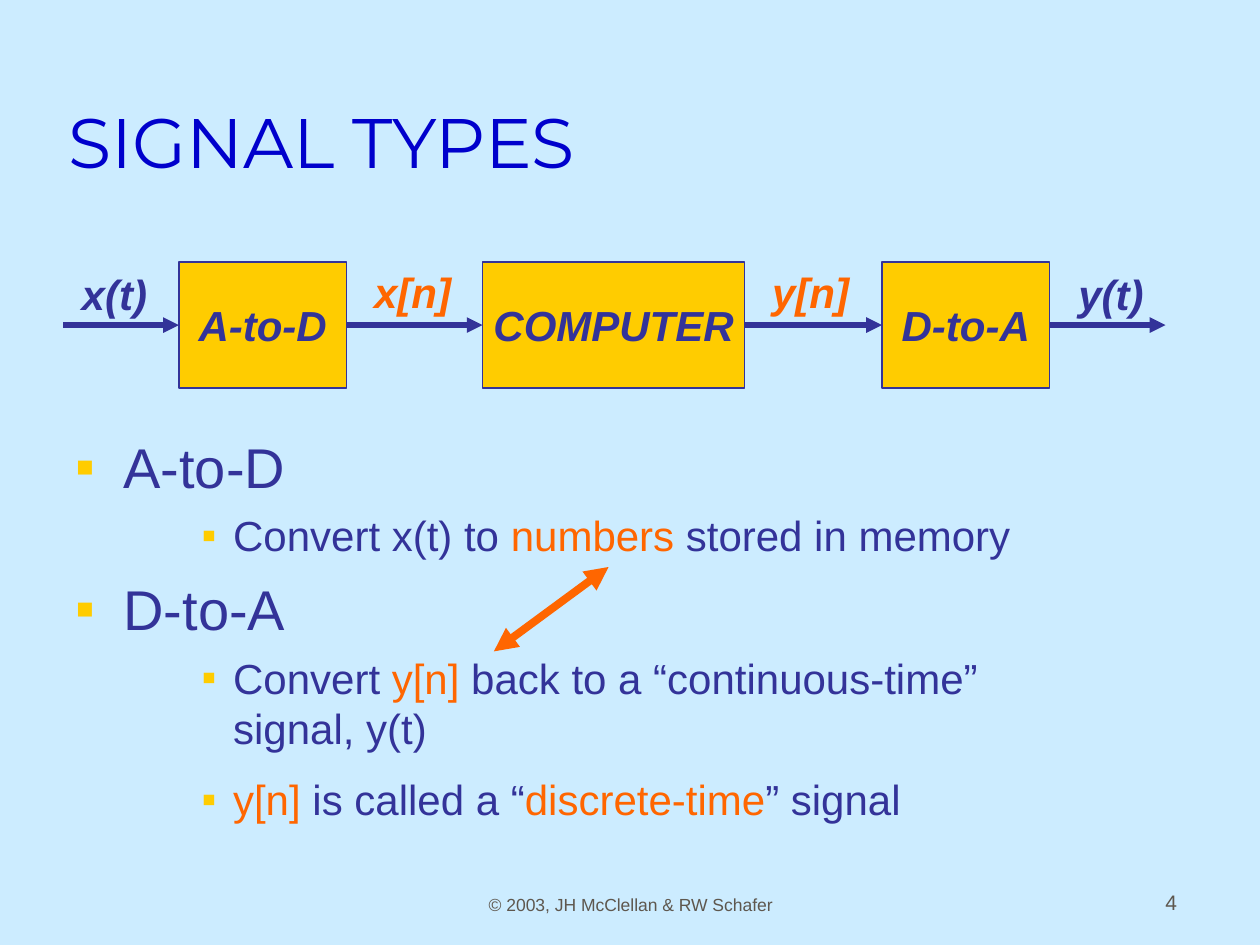
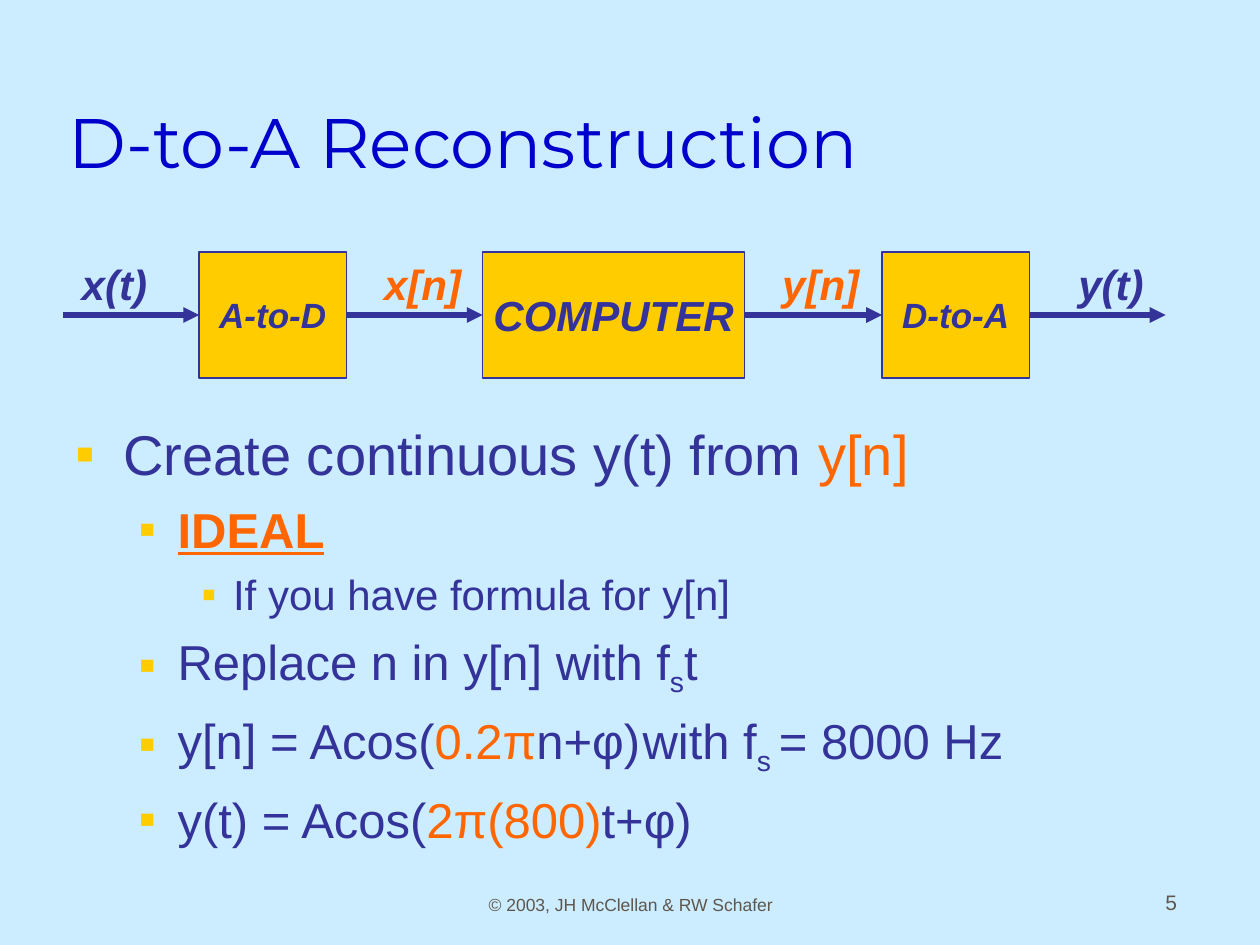
from lxml.etree import SubElement
from pptx import Presentation
from pptx.dml.color import RGBColor
from pptx.enum.shapes import MSO_CONNECTOR as Connector, MSO_SHAPE as Shape
from pptx.enum.text import MSO_ANCHOR as Anchor, MSO_AUTO_SIZE as AutoSize, PP_ALIGN as Align
from pptx.oxml.ns import qn
from pptx.util import Inches, Pt

SKY = RGBColor(0xCC, 0xEC, 0xFF)
TITLE_BLUE = RGBColor(0x00, 0x00, 0xCC)
INDIGO = RGBColor(0x33, 0x33, 0x99)
ORANGE = RGBColor(0xFF, 0x66, 0x00)
GOLD = RGBColor(0xFF, 0xCC, 0x00)
GREY = RGBColor(0x5E, 0x57, 0x4E)

# Outline levels: size, space before, left margin, hanging indent
LEVELS = [(32, 8, 0.38, 0.38), (28, 7, 0.81, 0.31), (24, 6, 1.25, 0.25)]

# Each outline entry: level, line spacing, runs of (text, style)
LESSONS = [
    {
        "number": 4, "title": "SIGNAL TYPES",
        "body": (0.5, 3.38, 8.17, 3.24),
        "chain_top": 2.08, "converter_width": 1.33, "converter_size": 24,
        "sample_left": 2.87, "sample_top": 2.07,
        "outline": [
            (0, 1, [("A-to-D", "")]),
            (2, 1, [("Convert x(t) to ", ""), ("numbers", "accent"), (" stored in memory", "")]),
            (0, 1, [("D-to-A", "")]),
            (2, 1, [("Convert ", ""), ("y[n]", "accent"),
                    (" back to a “continuous-time” signal, y(t)", "")]),
            (2, 1.2, [("y[n]", "accent"), (" is called a “", ""),
                      ("discrete-time", "accent"), ("” signal", "")]),
        ],
    },
    {
        "number": 5, "title": "D-to-A Reconstruction",
        "body": (0.5, 3.28, 8.94, 3.72),
        "chain_top": 2, "converter_width": 1.17, "converter_size": 20,
        "sample_left": 2.95, "sample_top": 2,
        "outline": [
            (0, 1, [("Create continuous y(t) from ", ""), ("y[n]", "accent")]),
            (1, 1, [("IDEAL", "heading")]),
            (2, 1, [("If you have formula for y[n]", "")]),
            (1, 1, [("Replace n in y[n] with f", ""), ("s", "sub"), ("t", "")]),
            (1, 1, [("y[n] = Acos(", ""), ("0.2π", "accent"), ("n+φ)\twith f", ""),
                    ("s ", "sub"), ("= 8000 Hz", "")]),
            (1, 1, [("y(t) = Acos(", ""), ("2π(800)", "accent"), ("t+φ)", "")]),
        ],
    },
]


def write_line(shape, text, size, color, align=Align.LEFT, anchor=Anchor.TOP,
               font="Arial", strong=False, wrap=True):
    frame = shape.text_frame
    frame.word_wrap = wrap
    frame.auto_size = AutoSize.NONE
    frame.vertical_anchor = anchor
    line = frame.paragraphs[0]
    line.text = text
    line.alignment = align
    line.font.name = font
    line.font.size = Pt(size)
    line.font.color.rgb = color
    line.font.bold = line.font.italic = strong


def add_arrow(shapes, start, end, color, width, ends):
    arrow = shapes.add_connector(Connector.STRAIGHT, *map(Inches, start + end))
    arrow.line.color.rgb = color
    arrow.line.width = Pt(width)
    outline = arrow.line._get_or_add_ln()
    for end_tag in ends:
        SubElement(outline, qn(end_tag), type="triangle")
    SubElement(arrow._element.spPr, qn("a:effectLst"))


prs = Presentation()
prs.slide_width, prs.slide_height = Inches(10), Inches(7.5)
backdrop = prs.slide_master.background.fill
backdrop.solid()
backdrop.fore_color.rgb = SKY

for lesson in LESSONS:
    slide = prs.slides.add_slide(prs.slide_layouts[1])

    # Footer and page number
    credit = slide.shapes.add_textbox(*map(Inches, (3.42, 6.81, 3.17, 0.5)))
    write_line(credit, "© 2003, JH McClellan & RW Schafer", 10, GREY, Align.CENTER, Anchor.BOTTOM)
    page = slide.shapes.add_textbox(*map(Inches, (7.36, 6.81, 2.08, 0.5)))
    write_line(page, str(lesson["number"]), 12, GREY, Align.RIGHT, Anchor.BOTTOM)

    # Title
    title = slide.shapes.title
    title.left, title.top, title.width, title.height = map(Inches, (0.44, 0.25, 8.5, 1.25))
    write_line(title, lesson["title"], 40, TITLE_BLUE, anchor=Anchor.BOTTOM, font="Montserrat")

    # Outline
    body = slide.placeholders[1]
    body.left, body.top, body.width, body.height = map(Inches, lesson["body"])
    body.text_frame.auto_size = AutoSize.NONE
    for index, (level, spacing, runs) in enumerate(lesson["outline"]):
        point = body.text_frame.add_paragraph() if index else body.text_frame.paragraphs[0]
        size, before, margin, hanging = LEVELS[level]
        point.level = level
        point.line_spacing = spacing
        point.space_before = Pt(before if index else 0)
        props = point._p.get_or_add_pPr()
        props.set("marL", str(Inches(margin)))
        props.set("indent", str(-Inches(hanging)))
        SubElement(SubElement(props, qn("a:buClr")), qn("a:srgbClr"), val=str(GOLD))
        SubElement(props, qn("a:buFont"), typeface="Arial")
        SubElement(props, qn("a:buChar"), char="▪")
        point.font.name = "Arial"
        point.font.size = Pt(size)
        point.font.color.rgb = INDIGO
        for text, style in runs:
            run = point.add_run()
            run.text = text
            if style in ("accent", "heading"):
                run.font.color.rgb = ORANGE
            if style == "heading":
                run.font.bold = run.font.underline = True
            if style == "sub":
                run._r.get_or_add_rPr().set("baseline", "-25000")

    # Signal chain: blocks
    chain = slide.shapes.add_group_shape().shapes
    top, converter = lesson["chain_top"], lesson["converter_width"]
    blocks = [
        ("A-to-D", 2.75 - converter, converter, lesson["converter_size"]),
        ("COMPUTER", 3.83, 2.08, 24),
        ("D-to-A", 7, converter, lesson["converter_size"]),
    ]
    for name, left, width, size in blocks:
        block = chain.add_shape(Shape.RECTANGLE, *map(Inches, (left, top, width, 1)))
        block.shadow.inherit = False
        block.fill.solid()
        block.fill.fore_color.rgb = GOLD
        block.line.color.rgb = INDIGO
        block.line.width = Pt(0.75)
        write_line(block, name, size, INDIGO, Align.CENTER, Anchor.MIDDLE, strong=True, wrap=False)

    # Signal chain: arrows from each block to the next
    starts = [0.5] + [left + width for _, left, width, _ in blocks]
    stops = [left for _, left, _, _ in blocks] + [9.25]
    for start, stop in zip(starts, stops):
        add_arrow(chain, (start, top + 0.5), (stop, top + 0.5), INDIGO, 3, ["a:tailEnd"])

    # Signal chain: signal names
    sample_left, sample_top = lesson["sample_left"], lesson["sample_top"]
    signals = [
        ("x(t)", 0.55, top, 0.72, INDIGO),
        ("y(t)", 8.46, top, 0.72, INDIGO),
        ("y[n]", sample_left + 3.16, sample_top, 0.81, ORANGE),
        ("x[n]", sample_left, sample_top, 0.81, ORANGE),
    ]
    for name, left, label_top, width, color in signals:
        signal = chain.add_textbox(*map(Inches, (left, label_top, width, 0.5)))
        write_line(signal, name, 24, color, strong=True, wrap=False)

# Link between the numbers and y[n]
add_arrow(prs.slides[0].shapes, (4.83, 4.5), (3.92, 5.17), ORANGE, 4.5, ["a:headEnd", "a:tailEnd"])

prs.save("out.pptx")
